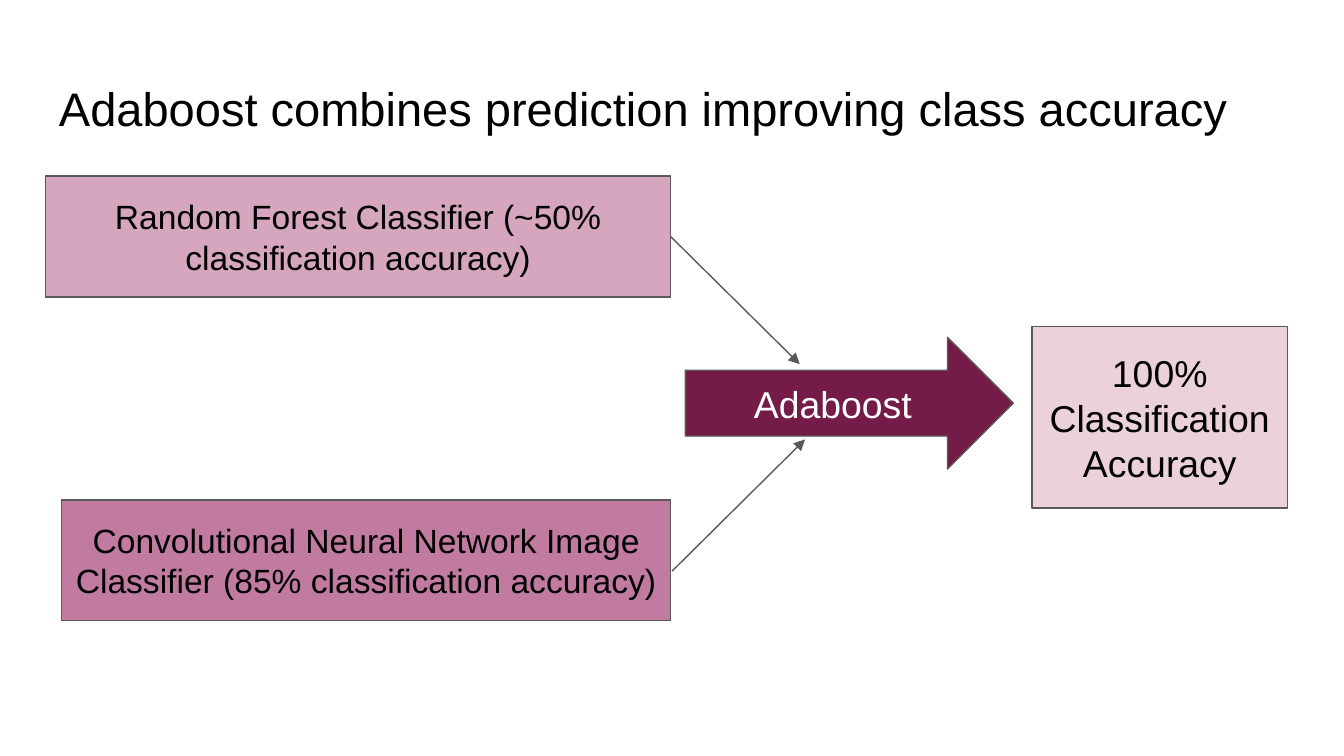
from dataclasses import dataclass

from lxml import etree
from pptx import Presentation
from pptx import util as u
from pptx.dml.color import RGBColor
from pptx.enum import shapes, text
from pptx.oxml import ns


@dataclass(frozen=True)
class Theme:
    font: str = "Arial"
    ink: str = "000000"
    paper: str = "FFFFFF"
    outline: str = "595959"
    forest: str = "D5A6BD"
    network: str = "C27BA0"
    boost: str = "741B47"
    result: str = "EAD1DC"
    title_size: float = 25.2
    classifier_size: float = 18
    outcome_size: float = 20
    line_width: float = 0.75
    inset: float = 0.1


THEME = Theme()


def color(value):
    return RGBColor.from_string(value)


def place(left, top, width, height):
    return [u.Inches(length) for length in (left, top, width, height)]


def write(box, words, *, size, ink=THEME.ink, align=text.PP_ALIGN.CENTER,
          anchor=text.MSO_ANCHOR.MIDDLE):
    frame = box.text_frame
    frame.word_wrap = True
    frame.vertical_anchor = anchor
    frame.margin_left = frame.margin_right = u.Inches(THEME.inset)
    frame.margin_top = frame.margin_bottom = u.Inches(THEME.inset)
    para = frame.paragraphs[0]
    para.alignment = align
    span = para.add_run()
    span.text = words
    span.font.name = THEME.font
    span.font.size = u.Pt(size)
    span.font.color.rgb = color(ink)


def style_line(line):
    line.color.rgb = color(THEME.outline)
    line.width = u.Pt(THEME.line_width)


def add_title(page, words):
    box = page.shapes.add_textbox(*place(0.34, 0.49, 9.32, 0.63))
    write(box, words, size=THEME.title_size, align=text.PP_ALIGN.LEFT,
          anchor=text.MSO_ANCHOR.TOP)


def add_block(page, area, words, fill, kind=shapes.MSO_SHAPE.RECTANGLE, **style):
    block = page.shapes.add_shape(kind, *place(*area))
    block.shadow.inherit = False
    block.fill.solid()
    block.fill.fore_color.rgb = color(fill)
    style_line(block.line)
    write(block, words, **style)
    return block


def add_arrow(page, start, end):
    points = [u.Inches(length) for length in (*start, *end)]
    arrow = page.shapes.add_connector(shapes.MSO_CONNECTOR.STRAIGHT, *points)
    style_line(arrow.line)
    properties = arrow.element.spPr
    outline = properties.find(ns.qn("a:ln"))
    etree.SubElement(outline, ns.qn("a:tailEnd"), type="triangle")
    etree.SubElement(properties, ns.qn("a:effectLst"))
    return arrow


def main():
    deck = Presentation()
    deck.slide_width = u.Inches(10)
    deck.slide_height = u.Inches(10) * 9 // 16
    page = deck.slides.add_slide(deck.slide_layouts[6])
    page.background.fill.solid()
    page.background.fill.fore_color.rgb = color(THEME.paper)

    add_title(page, "Adaboost combines prediction improving class accuracy")
    forest = add_block(
        page, (0.34, 1.31, 4.65, 0.9),
        "Random Forest Classifier (~50% classification accuracy)",
        THEME.forest, size=THEME.classifier_size)
    add_block(
        page, (0.46, 3.72, 4.53, 0.9),
        "Convolutional Neural Network Image Classifier (85% classification accuracy)",
        THEME.network, size=THEME.classifier_size)
    add_block(
        page, (5.1, 2.51, 2.44, 0.98), "Adaboost", THEME.boost,
        kind=shapes.MSO_SHAPE.RIGHT_ARROW, size=THEME.outcome_size, ink=THEME.paper)

    forest_arrow = add_arrow(page, (4.99, 1.76), (5.95, 2.71))
    forest_arrow.begin_connect(forest, 3)
    add_arrow(page, (5, 4.25), (5.99, 3.27))

    add_block(page, (7.68, 2.43, 1.9, 1.35), "100% Classification Accuracy",
              THEME.result, size=THEME.outcome_size)
    deck.save("out.pptx")


if __name__ == "__main__":
    main()
